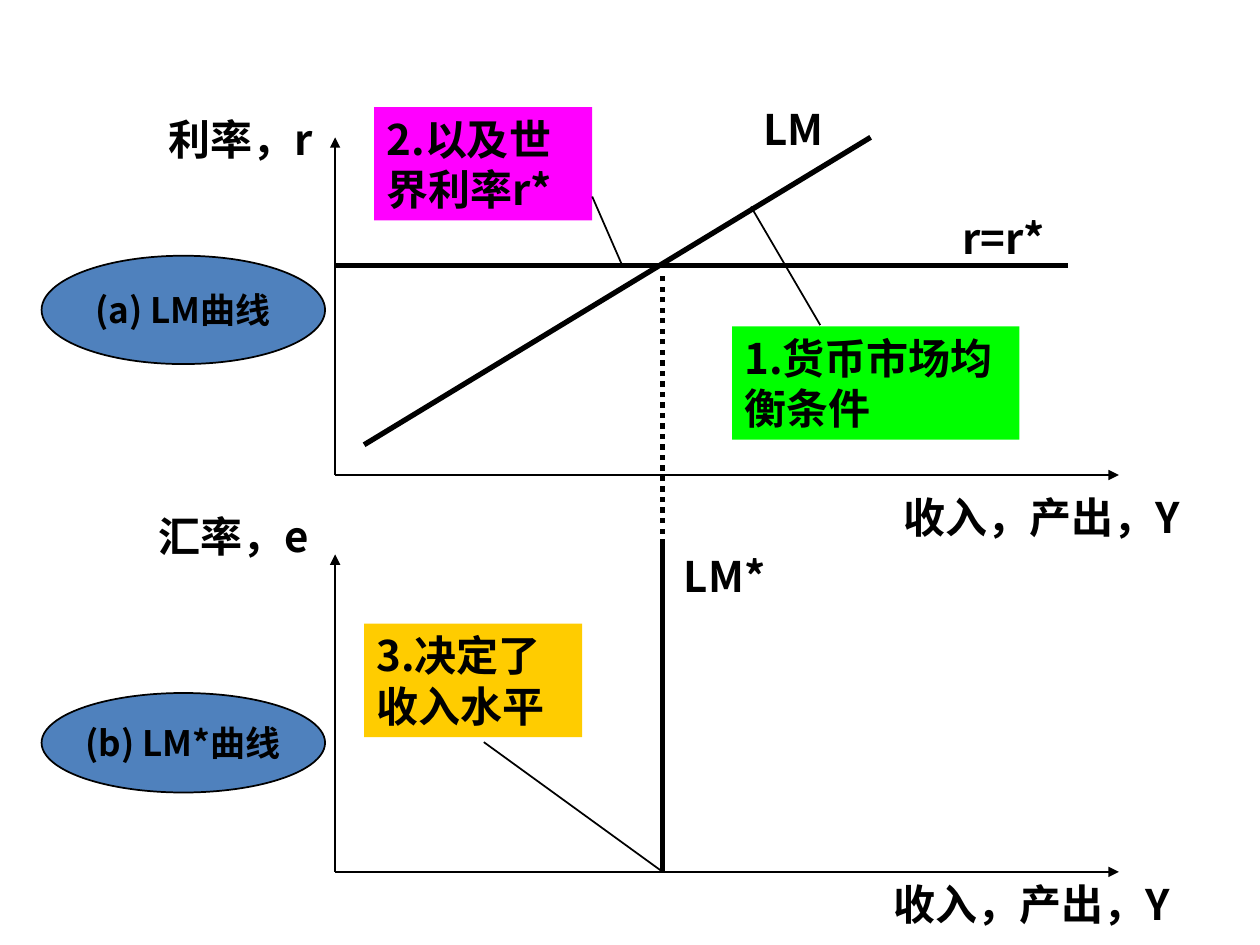
from dataclasses import dataclass

from lxml import etree
from pptx import Presentation
from pptx.dml.color import RGBColor
from pptx.enum.dml import MSO_LINE
from pptx.enum.shapes import MSO_CONNECTOR, MSO_SHAPE
from pptx.enum.text import MSO_ANCHOR, PP_ALIGN
from pptx.oxml.ns import qn
from pptx.util import Inches, Pt

STRAIGHT = MSO_CONNECTOR.STRAIGHT
RECTANGLE = MSO_SHAPE.RECTANGLE
OVAL = MSO_SHAPE.OVAL
DOTTED = MSO_LINE.ROUND_DOT
MIDDLE = MSO_ANCHOR.MIDDLE
TOP = MSO_ANCHOR.TOP
CENTER = PP_ALIGN.CENTER
LEFT = PP_ALIGN.LEFT

BLACK = RGBColor(0x00, 0x00, 0x00)
GREEN = RGBColor(0x00, 0xFF, 0x00)
GOLD = RGBColor(0xFF, 0xCC, 0x00)
MAGENTA = RGBColor(0xFF, 0x00, 0xFF)
BLUE = RGBColor(0x4F, 0x81, 0xBD)

FONT = "Noto Sans CJK SC"
THIN, THICK = 1, 3
LABEL_HEIGHT = 0.5
NOTE_HEIGHT = 0.9
INCOME = 2.6
WORLD_RATE = 1.02


@dataclass
class Box:
    left: float
    top: float
    width: float
    height: float

    def place(self, x, y):
        return Inches(self.left + x), Inches(self.top + y)


def write(shape, text, size=24, alignment=LEFT, anchor=TOP, wrap=True):
    frame = shape.text_frame
    frame.word_wrap = wrap
    frame.vertical_anchor = anchor
    paragraph = frame.paragraphs[0]
    paragraph.text = text
    paragraph.alignment = alignment
    font = paragraph.font
    font.size = Pt(size)
    font.bold = True
    font.color.rgb = BLACK
    font.name = FONT
    properties = paragraph._p.pPr.find(qn("a:defRPr"))
    etree.SubElement(properties, qn("a:ea"), typeface=FONT)


def add_label(slide, box, x, y, width, text):
    shape = slide.shapes.add_textbox(*box.place(x, y), Inches(width), Inches(LABEL_HEIGHT))
    write(shape, text)


def add_filled(slide, box, kind, x, y, width, height, color):
    shape = slide.shapes.add_shape(kind, *box.place(x, y), Inches(width), Inches(height))
    shape.shadow.inherit = False
    shape.fill.solid()
    shape.fill.fore_color.rgb = color
    return shape


def add_note(slide, box, x, y, width, color, text):
    shape = add_filled(slide, box, RECTANGLE, x, y, width, NOTE_HEIGHT, color)
    shape.line.fill.background()
    write(shape, text)


def add_caption(slide, box, y, height, text):
    shape = add_filled(slide, box, OVAL, -2.33, y, 2.25, height, BLUE)
    shape.line.color.rgb = BLACK
    shape.line.width = Pt(THIN)
    write(shape, text, 20, CENTER, MIDDLE, False)


def add_line(slide, box, start, end, width=THIN, dash=None, arrow=False):
    line = slide.shapes.add_connector(STRAIGHT, *box.place(*start), *box.place(*end))
    line.line.color.rgb = BLACK
    line.line.width = Pt(width)
    if dash:
        line.line.dash_style = dash
    if arrow:
        etree.SubElement(line.line._get_or_add_ln(), qn("a:tailEnd"), type="triangle")
    etree.SubElement(line._element.spPr, qn("a:effectLst"))


def add_axes(slide, box):
    origin = (0, box.height)
    for end in ((0, 0), (box.width, box.height)):
        add_line(slide, box, origin, end, arrow=True)


def add_interest_panel(slide, box):
    add_axes(slide, box)
    add_label(slide, box, -1.42, -0.24, 1.66, "利率，r")
    add_label(slide, box, 4.41, box.height + 0.08, 2.6, "收入，产出，Y")
    add_caption(slide, box, 0.94, 0.86, "(a) LM曲线")
    add_line(slide, box, (0.23, 2.44), (4.25, 0), THICK)
    add_label(slide, box, 3.3, -0.32, 0.94, "LM")
    add_line(slide, box, (0, WORLD_RATE), (5.82, WORLD_RATE), THICK)
    add_label(slide, box, 4.88, 0.55, 1.02, "r=r*")
    add_note(slide, box, 3.15, 1.5, 2.28, GREEN, "1.货币市场均衡条件")
    add_line(slide, box, (3.85, 1.49), (3.3, 0.55))
    add_note(slide, box, 0.31, -0.24, 1.73, MAGENTA, "2.以及世界利率r*")
    add_line(slide, box, (2.04, 0.47), (2.28, WORLD_RATE))


def add_exchange_panel(slide, box):
    add_axes(slide, box)
    add_label(slide, box, -1.5, -0.4, 2.13, "汇率，e")
    add_label(slide, box, 4.33, box.height, 2.6, "收入，产出，Y")
    add_caption(slide, box, 1.1, 0.79, "(b) LM*曲线")
    add_line(slide, box, (INCOME, box.height), (INCOME, -0.08), THICK)
    add_label(slide, box, INCOME + 0.07, -0.08, 0.94, "LM*")
    add_note(slide, box, 0.23, 0.55, 1.73, GOLD, "3.决定了收入水平")
    add_line(slide, box, (1.18, 1.49), (INCOME, box.height))


def add_income_link(slide, box):
    add_line(slide, box, (INCOME, box.height), (INCOME, 0), THICK, DOTTED)


def main():
    presentation = Presentation()
    presentation.slide_width = Inches(10)
    presentation.slide_height = Inches(7.5)
    slide = presentation.slides.add_slide(presentation.slide_layouts[6])
    add_interest_panel(slide, Box(2.66, 1.09, 6.22, 2.68))
    add_exchange_panel(slide, Box(2.66, 4.4, 6.22, 2.52))
    add_income_link(slide, Box(2.66, 2.19, 6.22, 2.13))
    presentation.save("out.pptx")


if __name__ == "__main__":
    main()
